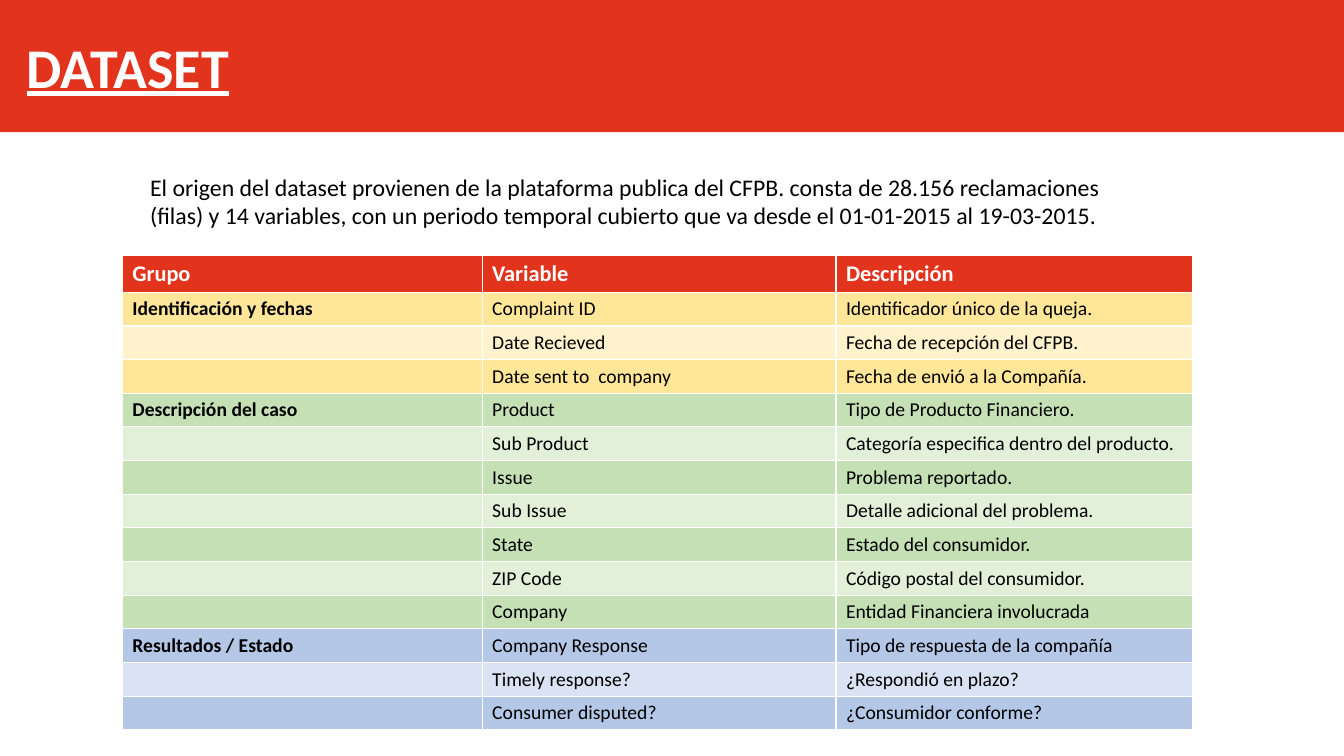
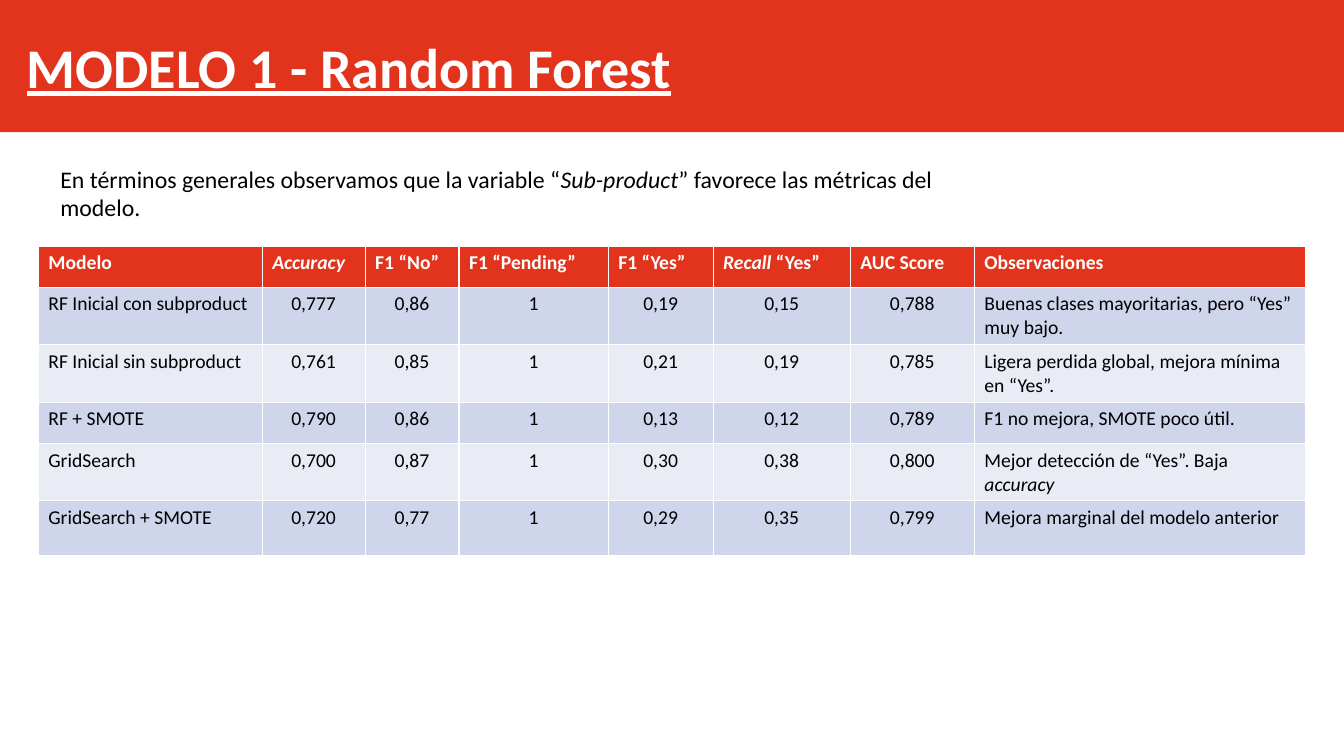
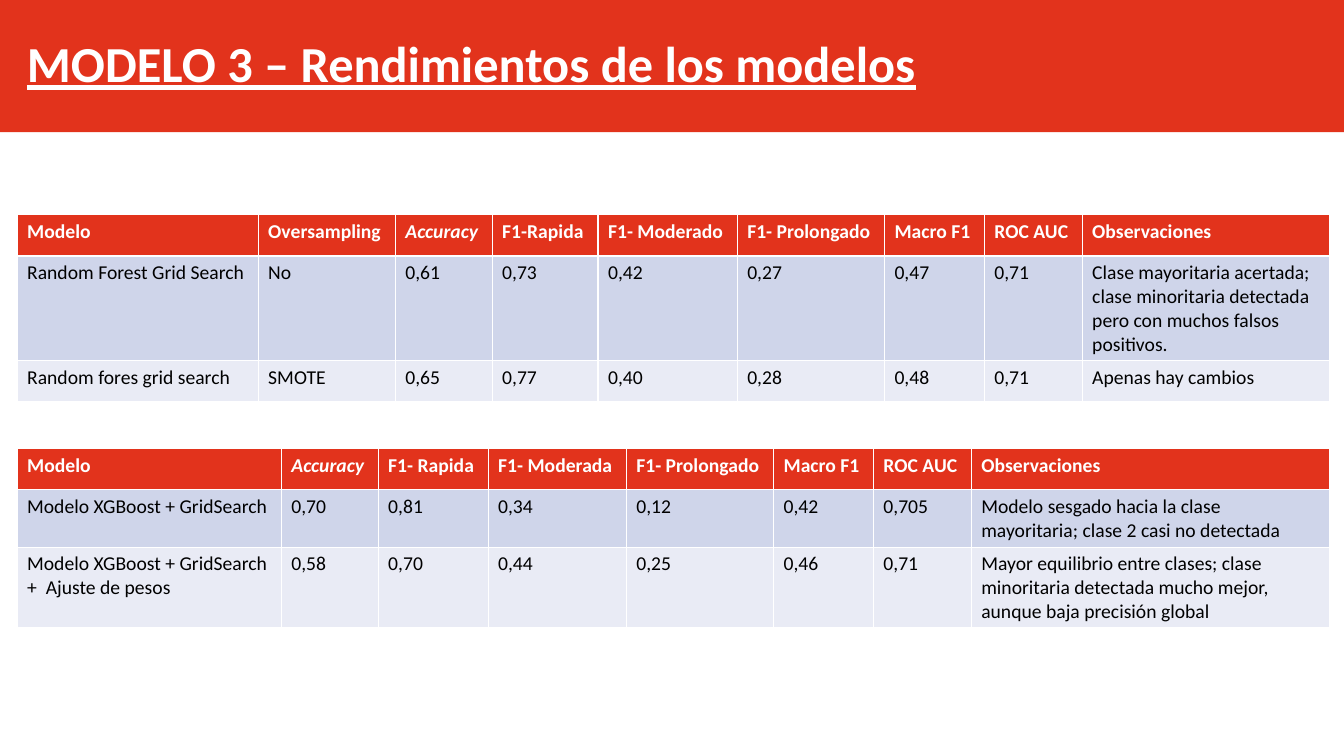
from pptx import Presentation
from pptx.dml.color import RGBColor
from pptx.enum.shapes import MSO_SHAPE
from pptx.enum.text import MSO_ANCHOR, PP_ALIGN
from pptx.oxml.ns import qn
from pptx.util import Inches, Pt
from lxml import etree

RECT = MSO_SHAPE.RECTANGLE
TOP = MSO_ANCHOR.TOP
LEFT, CENTER = PP_ALIGN.LEFT, PP_ALIGN.CENTER

FONT = "Calibri"
COLORS = {
    "red": "E2331C", "white": "FFFFFF", "black": "000000",
    "yellow": "FFE699", "yellow_light": "FFF2CC",
    "green": "C5E0B4", "green_light": "E2F0D9",
    "blue": "B4C7E7", "blue_light": "DAE3F3",
    "band": "CFD5EA", "band_light": "E9EBF5",
}
SLIDE_W, SLIDE_H = Inches(13.333), Inches(7.5)
BAND_H = 17.5
SHORT_ROW, TWO_LINE_ROW = 5.47, 7.6

VARIABLE_GROUPS = [
    ("Identificación y fechas", "yellow", [
        ("Complaint ID", "Identificador único de la queja."),
        ("Date Recieved", "Fecha de recepción del CFPB."),
        ("Date sent to  company", "Fecha de envió a la Compañía."),
    ]),
    ("Descripción del caso", "green", [
        ("Product", "Tipo de Producto Financiero."),
        ("Sub Product", "Categoría especifica dentro del producto."),
        ("Issue", "Problema reportado."),
        ("Sub Issue", "Detalle adicional del problema."),
        ("State", "Estado del consumidor."),
        ("ZIP Code", "Código postal del consumidor."),
        ("Company", "Entidad Financiera involucrada"),
    ]),
    ("Resultados / Estado", "blue", [
        ("Company Response", "Tipo de respuesta de la compañía"),
        ("Timely response?", "¿Respondió en plazo?"),
        ("Consumer disputed?", "¿Consumidor conforme?"),
    ]),
]

FOREST_ROWS = [
    ["Modelo", "*Accuracy*", "F1 “No”", "F1 “Pending”", "F1 “Yes”",
     "*Recall* “Yes”", "AUC Score", "Observaciones"],
    ["RF Inicial con subproduct", "0,777", "0,86", "1", "0,19", "0,15", "0,788",
     "Buenas clases mayoritarias, pero “Yes” muy bajo."],
    ["RF Inicial sin subproduct", "0,761", "0,85", "1", "0,21", "0,19", "0,785",
     "Ligera perdida global, mejora mínima en “Yes”."],
    ["RF + SMOTE", "0,790", "0,86", "1", "0,13", "0,12", "0,789",
     "F1 no mejora, SMOTE poco útil."],
    ["GridSearch", "0,700", "0,87", "1", "0,30", "0,38", "0,800",
     "Mejor detección de “Yes”. Baja *accuracy*"],
    ["GridSearch + SMOTE", "0,720", "0,77", "1", "0,29", "0,35", "0,799",
     "Mejora marginal del modelo anterior"],
]

OVERSAMPLING_ROWS = [
    ["Modelo", "Oversampling", "*Accuracy*", "F1-Rapida", "F1- Moderado",
     "F1- Prolongado", "Macro F1", "ROC AUC", "Observaciones"],
    ["Random Forest Grid Search", "No", "0,61", "0,73", "0,42", "0,27", "0,47", "0,71",
     "Clase mayoritaria acertada; clase minoritaria detectada pero con muchos "
     "falsos positivos."],
    ["Random fores grid search", "SMOTE", "0,65", "0,77", "0,40", "0,28", "0,48", "0,71",
     "Apenas hay cambios"],
]

XGBOOST_ROWS = [
    ["Modelo", "*Accuracy*", "F1- Rapida", "F1- Moderada", "F1- Prolongado",
     "Macro F1", "ROC AUC", "Observaciones"],
    ["Modelo XGBoost + GridSearch", "0,70", "0,81", "0,34", "0,12", "0,42", "0,705",
     "Modelo sesgado hacia la clase mayoritaria; clase 2 casi no detectada"],
    ["Modelo XGBoost + GridSearch +  Ajuste de pesos", "0,58", "0,70", "0,44", "0,25",
     "0,46", "0,71",
     "Mayor equilibrio entre clases; clase minoritaria detectada mucho mejor, "
     "aunque baja precisión global"],
]


def px(share):
    """Percent of the slide width."""
    return round(SLIDE_W * share / 100)


def py(share):
    """Percent of the slide height."""
    return round(SLIDE_H * share / 100)


def rgb(name):
    return RGBColor.from_string(COLORS[name])


def write(tf, text, size=14, color="black", bold=False, underline=None, align=LEFT, indent=0):
    """Fill the first paragraph; parts between asterisks are italic."""
    p = tf.paragraphs[0]
    p.alignment = align
    if indent:
        p._p.get_or_add_pPr().set("marL", str(indent))
    if not text:
        end = etree.SubElement(p._p, qn("a:endParaRPr"))
        end.set("sz", str(size * 100))
        return
    for i, part in enumerate(text.split("*")):
        if part:
            r = p.add_run()
            r.text = part
            r.font.name, r.font.size = FONT, Pt(size)
            r.font.bold, r.font.underline = bold, underline
            r.font.italic = i % 2 == 1
            r.font.color.rgb = rgb(color)


def add_text(slide, text, left, top, width, height, **fmt):
    tf = slide.shapes.add_textbox(px(left), py(top), px(width), py(height)).text_frame
    tf.word_wrap = True
    tf.vertical_anchor = TOP
    write(tf, text, **fmt)


def add_titled_slide(prs, title, size=40, width=89.5):
    slide = prs.slides.add_slide(prs.slide_layouts[6])
    sp = slide.shapes.add_shape(RECT, 0, 0, SLIDE_W, py(BAND_H))
    sp.shadow.inherit = False
    sp.fill.solid()
    sp.fill.fore_color.rgb = rgb("red")
    sp.line.fill.background()
    add_text(slide, title, 1.27, 3.6, width, 0.22 * size + 1.45,
             size=size, color="white", bold=True, underline=True)
    return slide


def add_grid(slide, rows, left, top, width, col_weights, row_shares, fills,
             head_size=14, centered=(), bold_col=None):
    """Table with a red header; column weights share out the width."""
    table = slide.shapes.add_table(len(rows), len(rows[0]), px(left), py(top),
                                   px(width), py(sum(row_shares))).table
    for col, weight in zip(table.columns, col_weights):
        col.width = px(width * weight / sum(col_weights))
    for row, share in zip(table.rows, row_shares):
        row.height = py(share)
    for i, texts in enumerate(rows):
        head = i == 0
        for j, text in enumerate(texts):
            cell = table.cell(i, j)
            cell.fill.solid()
            cell.fill.fore_color.rgb = rgb("red" if head else fills[i - 1])
            write(cell.text_frame, text,
                  size=head_size if head else 14,
                  color="white" if head else "black",
                  bold=head or j == bold_col,
                  align=CENTER if j in centered and not head else LEFT)


def banded(rows):
    return [("band", "band_light")[i % 2] for i in range(len(rows) - 1)]


def build_dataset(prs):
    slide = add_titled_slide(prs, "DATASET", width=56.6)
    add_text(slide, "El origen del dataset provienen de la plataforma publica del CFPB. "
             "consta de 28.156 reclamaciones (filas) y 14 variables, con un periodo "
             "temporal cubierto que va desde el 01-01-2015 al 19-03-2015.",
             10.43, 22.13, 74, 12.8, size=17)
    rows, fills = [("Grupo", "Variable", "Descripción")], []
    for group, color, variables in VARIABLE_GROUPS:
        for i, (name, description) in enumerate(variables):
            rows.append((group if i == 0 else "", name, description))
            fills.append(color + "_light" if i % 2 else color)
    add_grid(slide, rows, 9.1, 33.73, 79.65, (357, 351, 354),
             [4.93] + [4.45] * len(fills), fills, head_size=16, bold_col=0)


def build_forest(prs):
    slide = add_titled_slide(prs, "MODELO 1 - Random Forest")
    add_text(slide, "En términos generales observamos que la variable “*Sub-product*” "
             "favorece las métricas del modelo.",
             0, 21.07, 70.5, 16.67, size=17, indent=Inches(0.5))
    add_grid(slide, FOREST_ROWS, 2.85, 32.53, 94.28,
             (222, 102, 93, 148, 104, 136, 123, 328),
             (SHORT_ROW, TWO_LINE_ROW, TWO_LINE_ROW, SHORT_ROW, TWO_LINE_ROW, 7.2),
             banded(FOREST_ROWS), centered=range(1, 7))


def build_performance(prs):
    slide = add_titled_slide(prs, "MODELO 3 – Rendimientos de los modelos", size=36)
    tables = [
        (XGBOOST_ROWS, 59.33, (262, 96, 109, 137, 146, 99, 97, 355),
         (SHORT_ROW, TWO_LINE_ROW, 10.67)),
        (OVERSAMPLING_ROWS, 28.4, (239, 136, 96, 105, 138, 146, 99, 97, 245),
         (SHORT_ROW, 13.8, SHORT_ROW)),
    ]
    for rows, top, weights, shares in tables:
        add_grid(slide, rows, 1.27, top, 97.65, weights, shares, banded(rows))


def main():
    prs = Presentation()
    prs.slide_width, prs.slide_height = SLIDE_W, SLIDE_H
    build_dataset(prs)
    build_forest(prs)
    build_performance(prs)
    prs.save("out.pptx")


if __name__ == "__main__":
    main()
